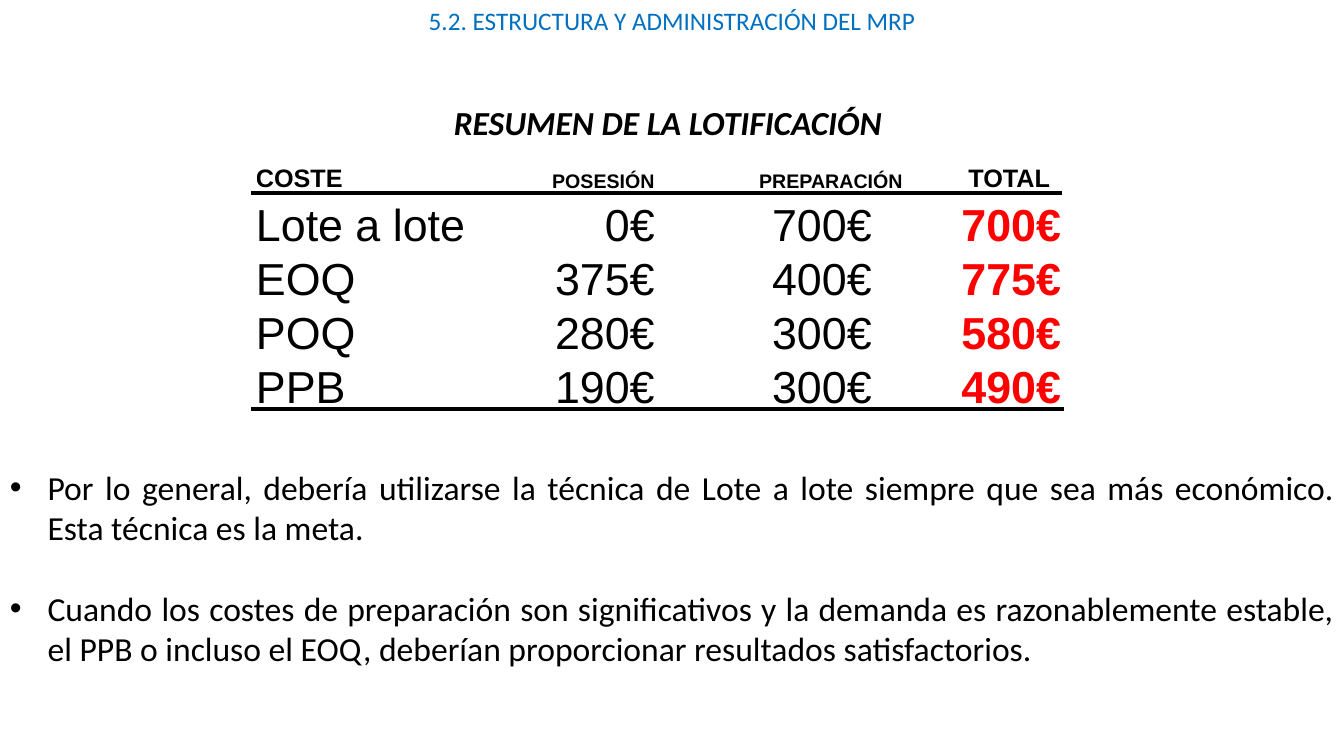
from lxml import etree
from pptx import Presentation
from pptx.dml.color import RGBColor
from pptx.enum.shapes import MSO_CONNECTOR
from pptx.enum.text import MSO_ANCHOR, PP_ALIGN
from pptx.oxml.ns import qn
from pptx.util import Cm, Pt

LEFT, CENTER, RIGHT, JUSTIFY = PP_ALIGN.LEFT, PP_ALIGN.CENTER, PP_ALIGN.RIGHT, PP_ALIGN.JUSTIFY
BOTTOM, MIDDLE = MSO_ANCHOR.BOTTOM, MSO_ANCHOR.MIDDLE
STRAIGHT = MSO_CONNECTOR.STRAIGHT
BLACK = RGBColor(0, 0, 0)
BLUE = RGBColor(0x00, 0x70, 0xC0)
RED = RGBColor(0xFF, 0, 0)

# Content
SECTION = "5.2. ESTRUCTURA Y ADMINISTRACIÓN DEL MRP"
HEADING = "RESUMEN DE LA LOTIFICACIÓN"
COSTS = [
    ("COSTE", "POSESIÓN", "PREPARACIÓN", "TOTAL"),
    ("Lote a lote", "0€", "700€", "700€"),
    ("EOQ", "375€", "400€", "775€"),
    ("POQ", "280€", "300€", "580€"),
    ("PPB", "190€", "300€", "490€"),
]
CONCLUSIONS = [
    "Por lo general, debería utilizarse la técnica de Lote a lote siempre que sea "
    "más económico. Esta técnica es la meta.",
    "Cuando los costes de preparación son significativos y la demanda es razonablemente "
    "estable, el PPB o incluso el EOQ, deberían proporcionar resultados satisfactorios.",
]

# Layout in centimetres
PAGE_WIDTH, PAGE_HEIGHT = 33.87, 19.05
TABLE_LEFT, TABLE_TOP = 6.45, 3.82
HEADER_HEIGHT, ROW_HEIGHT = 1.2, 1.36
COLUMN_WIDTHS = (6.05, 4, 6.25, 3.99)
HEADER_SIZES = (18, 14, 14, 18)
HEADER_INSETS = (0, 0, 0, 0.28)
VALUE_INSETS = (0, 0, 0.78, 0)
RULES = ((4.86, 26.77), (10.3, 26.82))
RULE_LEFT = 6.32

deck = Presentation()
deck.slide_width, deck.slide_height = Cm(PAGE_WIDTH), Cm(PAGE_HEIGHT)
page = deck.slides.add_slide(deck.slide_layouts[6])


def style(para, size, align, color=BLACK, name="Calibri", bold=False, italic=False):
    para.alignment = align
    font = para.font
    font.name, font.size, font.bold, font.italic = name, Pt(size), bold, italic
    font.color.rgb = color


def add_text(left, top, width, height, lines, size, align, **look):
    box = page.shapes.add_textbox(Cm(left), Cm(top), Cm(width), Cm(height))
    frame = box.text_frame
    frame.word_wrap = True
    frame.text = "\n".join(lines)
    for para in frame.paragraphs:
        style(para, size, align, **look)
    return frame


# Titles
add_text(0, 0, PAGE_WIDTH, 1.02, [SECTION], 18, CENTER, color=BLUE)
add_text(6.81, 2.44, 20.04, 1.27, [HEADING], 24, CENTER, bold=True, italic=True)

# Cost table
table_height = HEADER_HEIGHT + ROW_HEIGHT * (len(COSTS) - 1)
table = page.shapes.add_table(
    len(COSTS), len(COLUMN_WIDTHS), Cm(TABLE_LEFT), Cm(TABLE_TOP),
    Cm(sum(COLUMN_WIDTHS)), Cm(table_height)).table
table.first_row = table.horz_banding = False
for column, width in zip(table.columns, COLUMN_WIDTHS):
    column.width = Cm(width)
for row_index, values in enumerate(COSTS):
    header = row_index == 0
    table.rows[row_index].height = Cm(HEADER_HEIGHT if header else ROW_HEIGHT)
    for index, value in enumerate(values):
        total = index == len(values) - 1
        cell = table.cell(row_index, index)
        cell.fill.background()
        cell.text = value
        cell.margin_left = cell.margin_top = 0
        cell.margin_right = Cm((HEADER_INSETS if header else VALUE_INSETS)[index])
        cell.margin_bottom = Cm(0.17 if header else 0)
        cell.vertical_anchor = BOTTOM if header else MIDDLE
        style(cell.text_frame.paragraphs[0],
              HEADER_SIZES[index] if header else 32,
              RIGHT if index else LEFT,
              color=RED if total and not header else BLACK,
              name="Arial", bold=header or total)

# Rules under the header and the last row
for rule_y, rule_right in RULES:
    rule = page.shapes.add_connector(
        STRAIGHT, Cm(RULE_LEFT), Cm(rule_y), Cm(rule_right), Cm(rule_y))
    rule.line.color.rgb = BLACK
    rule.line.width = Pt(3)
    etree.SubElement(rule._element.spPr, qn("a:effectLst"))

# Bulleted conclusions
conclusions = add_text(0, 11.63, PAGE_WIDTH, 5.38, CONCLUSIONS, 24, JUSTIFY)
for index, para in enumerate(conclusions.paragraphs):
    para.space_before = Pt(29 if index else 0)
    properties = para._p.get_or_add_pPr()
    properties.set("marL", str(Cm(0.95)))
    properties.set("indent", str(-Cm(0.95)))
    bullet_font = etree.Element(qn("a:buFont"), typeface="Arial")
    bullet = etree.Element(qn("a:buChar"), char="•")
    defaults = properties.find(qn("a:defRPr"))
    defaults.addprevious(bullet_font)
    defaults.addprevious(bullet)

deck.save("out.pptx")
